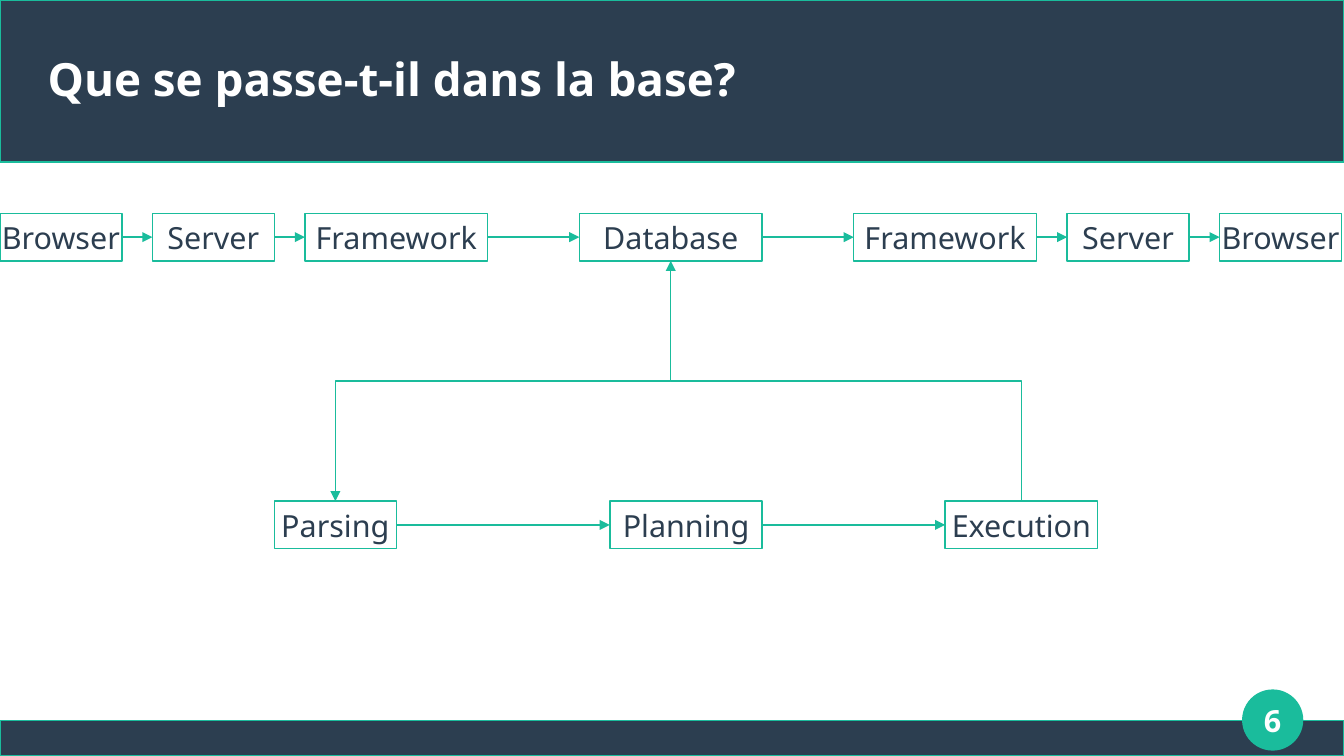
from dataclasses import dataclass

from lxml.etree import SubElement
from pptx import Presentation
from pptx.dml.color import RGBColor
from pptx.enum.shapes import MSO_CONNECTOR, MSO_SHAPE
from pptx.enum.text import MSO_ANCHOR, PP_ALIGN
from pptx.oxml.ns import qn
from pptx.shapes.autoshape import Shape
from pptx.shapes.connector import Connector
from pptx.slide import Slide
from pptx.util import Inches, Pt

NAVY = RGBColor(0x2C, 0x3E, 0x50)
TEAL = RGBColor(0x1A, 0xBC, 0x9C)
WHITE = RGBColor(0xFF, 0xFF, 0xFF)
FONT_NAME = "Noto Sans"
LINE_WIDTH = Pt(0.85)
SLIDE_WIDTH, SLIDE_HEIGHT = 11.02, 6.2
STEP_HEIGHT = 0.39
RIGHT_SITE, LEFT_SITE = 3, 1


@dataclass(frozen=True)
class Step:
    label: str
    left: float
    width: float

    @property
    def center(self) -> float:
        return self.left + self.width / 2


REQUEST_TOP = 1.75
REQUEST_STEPS = [
    Step("Browser", 0, 1),
    Step("Server", 1.25, 1),
    Step("Framework", 2.5, 1.5),
    Step("Database", 4.75, 1.5),
    Step("Framework", 7, 1.5),
    Step("Server", 8.75, 1),
    Step("Browser", 10, 1),
]
QUERY_TOP = 4.11
QUERY_STEPS = [
    Step("Parsing", 2.25, 1),
    Step("Planning", 5, 1.25),
    Step("Execution", 7.75, 1.25),
]


def write_text(shape: Shape, text: str, *, size: float, color: RGBColor,
               bold: bool = False, align: PP_ALIGN = PP_ALIGN.CENTER,
               wrap: bool = True, margins: tuple[float, float] = (0, 0)) -> None:
    frame = shape.text_frame
    frame.word_wrap = wrap
    frame.vertical_anchor = MSO_ANCHOR.MIDDLE
    frame.margin_left = frame.margin_right = Inches(margins[0])
    frame.margin_top = frame.margin_bottom = Inches(margins[1])
    paragraph = frame.paragraphs[0]
    paragraph.alignment = align
    run = paragraph.add_run()
    run.text = text
    run.font.name = FONT_NAME
    run.font.size = Pt(size)
    run.font.bold = bold
    run.font.color.rgb = color


def add_outlined_shape(slide: Slide, kind: MSO_SHAPE, left: float, top: float,
                       width: float, height: float, fill: RGBColor) -> Shape:
    shape = slide.shapes.add_shape(
        kind, Inches(left), Inches(top), Inches(width), Inches(height))
    shape.shadow.inherit = False
    shape.fill.solid()
    shape.fill.fore_color.rgb = fill
    shape.line.color.rgb = TEAL
    shape.line.width = LINE_WIDTH
    return shape


def format_arrow(connector: Connector) -> None:
    connector.line.color.rgb = TEAL
    connector.line.width = LINE_WIDTH
    line = connector.line._get_or_add_ln()
    SubElement(line, qn("a:tailEnd"), type="triangle")
    SubElement(connector.element.spPr, qn("a:effectLst"))


def add_straight_arrow(slide: Slide, source: Shape, target: Shape) -> None:
    connector = slide.shapes.add_connector(MSO_CONNECTOR.STRAIGHT, 0, 0, 0, 0)
    connector.begin_connect(source, RIGHT_SITE)
    connector.end_connect(target, LEFT_SITE)
    format_arrow(connector)


def add_leftward_elbow(slide: Slide, start: tuple[float, float],
                       end: tuple[float, float]) -> None:
    """Draw an elbow that leaves and arrives vertically, going left."""
    (start_x, start_y), (end_x, end_y) = start, end
    center_x, center_y = (start_x + end_x) / 2, (start_y + end_y) / 2
    # The box is turned a quarter, so its sides are swapped
    half_width = abs(end_y - start_y) / 2
    half_height = (start_x - end_x) / 2
    goes_up = end_y < start_y
    if goes_up:
        half_height = -half_height
    connector = slide.shapes.add_connector(
        MSO_CONNECTOR.ELBOW,
        Inches(center_x - half_width), Inches(center_y - half_height),
        Inches(center_x + half_width), Inches(center_y + half_height))
    degrees = 270 if goes_up else 90
    connector.element.spPr.find(qn("a:xfrm")).set("rot", str(degrees * 60000))
    format_arrow(connector)


def add_step_row(slide: Slide, steps: list[Step], top: float) -> None:
    boxes = []
    for step in steps:
        box = add_outlined_shape(slide, MSO_SHAPE.RECTANGLE, step.left, top,
                                 step.width, STEP_HEIGHT, WHITE)
        write_text(box, step.label, size=18, color=NAVY, wrap=False,
                   margins=(0.1, 0.05))
        boxes.append(box)
    for source, target in zip(boxes, boxes[1:]):
        add_straight_arrow(slide, source, target)


def add_title(slide: Slide, text: str) -> None:
    title = slide.shapes.title
    title.left, title.top = Inches(0.39), Inches(0.25)
    title.width, title.height = Inches(10.24), Inches(0.79)
    write_text(title, text, size=27, color=WHITE, bold=True,
               align=PP_ALIGN.LEFT)
    # Bring the title in front of the header band
    title.element.getparent().append(title.element)


def main() -> None:
    presentation = Presentation()
    presentation.slide_width = Inches(SLIDE_WIDTH)
    presentation.slide_height = Inches(SLIDE_HEIGHT)
    slide = presentation.slides.add_slide(presentation.slide_layouts[5])

    # Bands, page badge and title
    for top, height in ((5.91, 0.29), (0, 1.33)):
        add_outlined_shape(slide, MSO_SHAPE.RECTANGLE, 0, top, SLIDE_WIDTH,
                           height, NAVY)
    add_outlined_shape(slide, MSO_SHAPE.OVAL, 10.19, 5.66, 0.49, 0.49, TEAL)
    add_title(slide, "Que se passe-t-il dans la base?")

    # Request path and query steps
    add_step_row(slide, REQUEST_STEPS, REQUEST_TOP)
    add_step_row(slide, QUERY_STEPS, QUERY_TOP)

    # Loop between the database and the query steps
    database_bottom = (REQUEST_STEPS[3].center, REQUEST_TOP + STEP_HEIGHT)
    parsing_top = (QUERY_STEPS[0].center, QUERY_TOP)
    execution_top = (QUERY_STEPS[-1].center, QUERY_TOP)
    add_leftward_elbow(slide, database_bottom, parsing_top)
    add_leftward_elbow(slide, execution_top, database_bottom)

    # Page number
    page_number = slide.shapes.add_textbox(
        Inches(10.04), Inches(5.66), Inches(0.79), Inches(0.49))
    write_text(page_number, "6", size=18, color=WHITE, bold=True)

    presentation.save("out.pptx")


if __name__ == "__main__":
    main()
